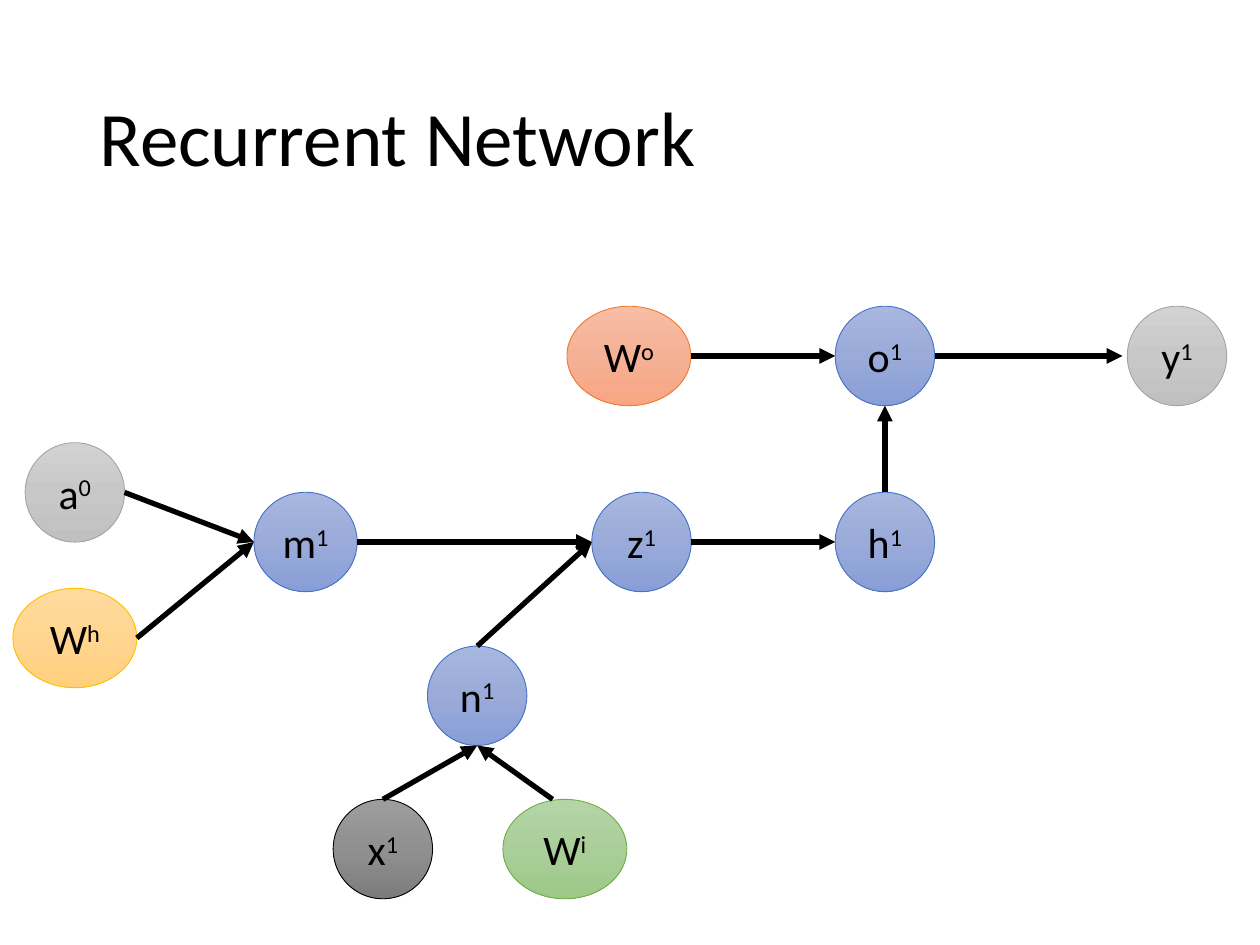
from copy import deepcopy
from pptx import Presentation
from pptx.dml.color import RGBColor
from pptx.enum import shapes, text
from pptx.oxml import ns, xmlchemy
from pptx.util import Pt

theme = {
    "font": "Calibri", "ink": "000000", "title": 44, "label": 24,
    "edge": 0.5, "arrow": 3,
    "blue": ("4472C4", "A8B7DF", "9AABD9", "889ED7"),
    "gray": ("A5A5A5", "D2D2D2", "C8C8C8", "C0C0C0"),
    "dark": ("000000", "9D9D9D", "909090", "7C7C7C"),
    "gold": ("FFC000", "FFDB9E", "FFD590", "FFD07C"),
    "green": ("70AD47", "B5D5A7", "AACE9A", "9CC987"),
    "red": ("ED7D31", "F7BDA5", "F5B196", "F8A582"),
}

title = "Recurrent Network"
high = 56.8
slim, mid, wide = 56.8, 59, 70.8
top, main, low, base = 203.4, 309.7, 397.6, 485.2

nodes = [
    ("W", "h", 42.8, 364.6, wide, "gold"),
    ("W", "i", 322.8, base, wide, "green"),
    ("W", "o", 359.4, top, wide, "red"),
    ("x", "1", 218.8, base, slim, "dark"),
    ("a", "0", 42.8, 281.4, slim, "gray"),
    ("y", "1", 672.6, top, slim, "gray"),
    ("h", "1", 505.7, main, slim, "blue"),
    ("z", "1", 366.6, main, slim, "blue"),
    ("m", "1", 174.6, main, mid, "blue"),
    ("n", "1", 272.7, low, slim, "blue"),
    ("o", "1", 505.7, top, slim, "blue"),
]

links = [
    ("a0", "right", "m1", "left"),
    ("Wh", "right", "m1", "left"),
    ("x1", "top", "n1", "bottom"),
    ("Wi", "top", "n1", "bottom"),
    ("n1", "top", "z1", "left"),
    ("m1", "right", "z1", "left"),
    ("z1", "right", "h1", "left"),
    ("h1", "top", "o1", "bottom"),
    ("Wo", "right", "o1", "left"),
    ("o1", "right", "y1", "left"),
]
sides = {"top": (0, -1), "left": (-1, 0), "bottom": (0, 1), "right": (1, 0)}
shifts = {("Wi", "top"): -7, ("y1", "left"): -2.8}


def color(name):
    return RGBColor.from_string(name)


def setup(frame, **values):
    for key, value in values.items():
        setattr(frame, key, value)


def write(par, words, size):
    run = par.add_run()
    run.text = words
    setup(run.font, name=theme["font"], size=Pt(size))
    run.font.color.rgb = color(theme["ink"])
    return run


def shade(shape, tones):
    shape.fill.gradient()
    shape.fill.gradient_angle = 270
    stops = shape._element.spPr.find(".//" + ns.qn("a:gsLst"))
    stops.insert(1, deepcopy(stops[0]))
    for stop, place, tone in zip(shape.fill.gradient_stops, (0, 0.5, 1), tones):
        stop.position = place
        stop.color.rgb = color(tone)


def add_node(slide, name, mark, x, y, width, hue):
    edge, *tones = theme[hue]
    shape = slide.shapes.add_shape(
        shapes.MSO_SHAPE.OVAL, Pt(x - width / 2), Pt(y - high / 2), Pt(width), Pt(high))
    shape.shadow.inherit = False
    shade(shape, tones)
    shape.line.color.rgb = color(edge)
    shape.line.width = Pt(theme["edge"])
    frame = shape.text_frame
    setup(frame, word_wrap=True, margin_left=0, margin_right=0,
          vertical_anchor=text.MSO_ANCHOR.MIDDLE)
    par = frame.paragraphs[0]
    par.alignment = text.PP_ALIGN.CENTER
    write(par, name, theme["label"])
    write(par, mark, theme["label"]).font._element.set("baseline", "30000")


def find(spots, name, side):
    x, y, width = spots[name]
    across, down = sides[side]
    shift = shifts.get((name, side), 0)
    return Pt(x + across * width / 2 + shift), Pt(y + down * high / 2)


def add_link(slide, start, end):
    line = slide.shapes.add_connector(shapes.MSO_CONNECTOR.STRAIGHT, *start, *end)
    line.line.color.rgb = color(theme["ink"])
    line.line.width = Pt(theme["arrow"])
    tail = xmlchemy.OxmlElement("a:tailEnd")
    tail.set("type", "triangle")
    line.line._get_or_add_ln().append(tail)
    line._element.spPr.append(xmlchemy.OxmlElement("a:effectLst"))


def build():
    deck = Presentation()
    deck.slide_width, deck.slide_height = Pt(720), Pt(540)
    slide = deck.slides.add_slide(deck.slide_layouts[6])
    box = slide.shapes.add_textbox(Pt(49.8), Pt(28.8), Pt(621), Pt(104.4))
    setup(box.text_frame, word_wrap=True, vertical_anchor=text.MSO_ANCHOR.MIDDLE)
    par = box.text_frame.paragraphs[0]
    par.line_spacing = 0.9
    write(par, title, theme["title"])
    for node in nodes:
        add_node(slide, *node)
    spots = {name + mark: (x, y, width) for name, mark, x, y, width, _ in nodes}
    for start, leave, end, enter in links:
        add_link(slide, find(spots, start, leave), find(spots, end, enter))
    deck.save("out.pptx")


if __name__ == "__main__":
    build()
